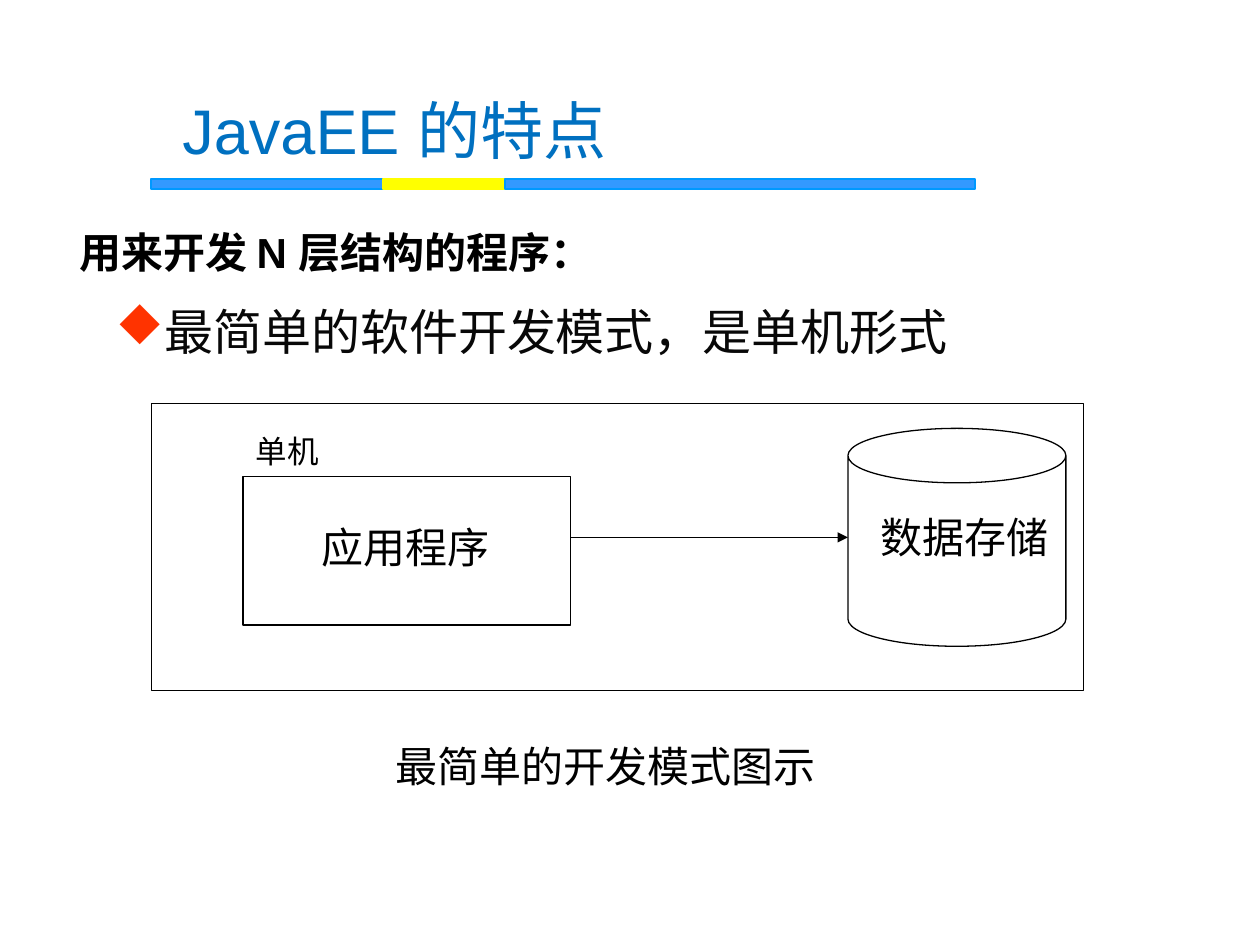
from lxml.etree import SubElement
from pptx import Presentation
from pptx.dml.color import RGBColor
from pptx.enum.shapes import MSO_CONNECTOR as Connector, MSO_SHAPE as Shape
from pptx.enum.text import MSO_ANCHOR as Anchor
from pptx.oxml.ns import qn
from pptx.util import Inches, Pt

FONT = "Arial"
BULLET_FONT = "Wingdings"
DIAMOND = "u"  # the diamond's place in the bullet font
BLACK = RGBColor(0x00, 0x00, 0x00)
NEAR_BLACK = RGBColor(0x08, 0x08, 0x08)
TITLE_BLUE = RGBColor(0x00, 0x70, 0xC0)
BAR_BLUE = RGBColor(0x33, 0x99, 0xFF)
BAR_EDGE = RGBColor(0x00, 0x99, 0xFF)
YELLOW = RGBColor(0xFF, 0xFF, 0x00)
BULLET_RED = RGBColor(0xFF, 0x33, 0x00)


def add_text(slide, text, left, top, width, height, size=24, color=BLACK,
             bold=False, anchor=Anchor.MIDDLE, wrap=True):
    box = slide.shapes.add_textbox(Inches(left), Inches(top), Inches(width), Inches(height))
    frame = box.text_frame
    frame.word_wrap = wrap
    frame.vertical_anchor = anchor
    paragraph = frame.paragraphs[0]
    run = paragraph.add_run()
    run.text = text
    run.font.name = FONT
    run.font.size = Pt(size)
    run.font.bold = bold
    run.font.color.rgb = color
    return paragraph


def add_outline(slide, kind, left, top, width, height, fill=None, edge=BLACK, weight=0.75):
    shape = slide.shapes.add_shape(kind, Inches(left), Inches(top), Inches(width), Inches(height))
    shape.shadow.inherit = False
    if fill is None:
        shape.fill.background()
    else:
        shape.fill.solid()
        shape.fill.fore_color.rgb = fill
    shape.line.color.rgb = edge
    shape.line.width = Pt(weight)
    return shape


def add_arrow(slide, start_x, end_x, y):
    arrow = slide.shapes.add_connector(
        Connector.STRAIGHT, Inches(start_x), Inches(y), Inches(end_x), Inches(y))
    arrow.line.color.rgb = BLACK
    arrow.line.width = Pt(0.75)
    SubElement(arrow.line._get_or_add_ln(), qn("a:tailEnd"), type="triangle")
    SubElement(arrow._element.spPr, qn("a:effectLst"))


def add_bullet(paragraph, indent):
    properties = paragraph._p.get_or_add_pPr()
    properties.set("marL", str(Inches(indent)))
    properties.set("indent", str(-Inches(indent)))
    bullet_color = SubElement(properties, qn("a:buClr"))
    SubElement(bullet_color, qn("a:srgbClr"), val=str(BULLET_RED))
    SubElement(properties, qn("a:buFont"), typeface=BULLET_FONT, pitchFamily="2", charset="2")
    SubElement(properties, qn("a:buChar"), char=DIAMOND)


def add_heading(slide, left, top):
    """Title above a bar of three coloured segments."""
    add_text(slide, "JavaEE 的特点", left + 0.15, top, 5, 0.75, size=36, color=TITLE_BLUE)
    segments = [(1.84, BAR_BLUE, BAR_EDGE), (0.97, YELLOW, YELLOW), (3.73, BAR_BLUE, BAR_EDGE)]
    for width, fill, edge in segments:
        add_outline(slide, Shape.RECTANGLE, left, top + 0.77, width, 0.08, fill, edge, weight=1)
        left += width


def add_body(slide, left, top):
    add_text(slide, "用来开发 N 层结构的程序：", left, top, 4.38, 0.5, bold=True, wrap=False)
    point = add_text(slide, "最简单的软件开发模式，是单机形式", left + 0.29, top + 0.5, 8.35, 0.8,
                     size=28, color=NEAR_BLACK, anchor=Anchor.TOP)
    point.line_spacing = 1.2
    point.space_before = Pt(0.2 * 28)
    add_bullet(point, 0.38)


def add_diagram(slide, left, top, width, height):
    """Framed application and data store joined by an arrow, with a caption."""
    add_outline(slide, Shape.RECTANGLE, left, top, width, height)

    app_left, app_width = left + 0.73, 2.6
    add_outline(slide, Shape.RECTANGLE, app_left, top + 0.58, app_width, 1.18)
    add_text(slide, "单机", app_left, top + 0.18, 1.22, 0.4, size=18)
    add_text(slide, "应用程序", app_left + 0.52, top + 0.89, 1.56, 0.5, wrap=False)

    store_left, store_top, store_size = left + 5.53, top + 0.2, 1.73
    store = add_outline(slide, Shape.CAN, store_left, store_top, store_size, store_size)
    store.adjustments[0] = 0.25
    add_text(slide, "数据存储", store_left + 0.16, top + 0.81, 1.57, 0.5, wrap=False)

    add_arrow(slide, app_left + app_width, store_left, store_top + store_size / 2)
    add_text(slide, "最简单的开发模式图示", left + 1.84, top + height + 0.35, 4.02, 0.5, wrap=False)


def main():
    deck = Presentation()
    deck.slide_width, deck.slide_height = Inches(10), Inches(7.5)
    slide = deck.slides.add_slide(deck.slide_layouts[6])
    add_heading(slide, 1.2, 0.65)
    add_body(slide, 0.53, 1.75)
    add_diagram(slide, 1.2, 3.2, 7.4, 2.28)
    deck.save("out.pptx")


if __name__ == "__main__":
    main()
